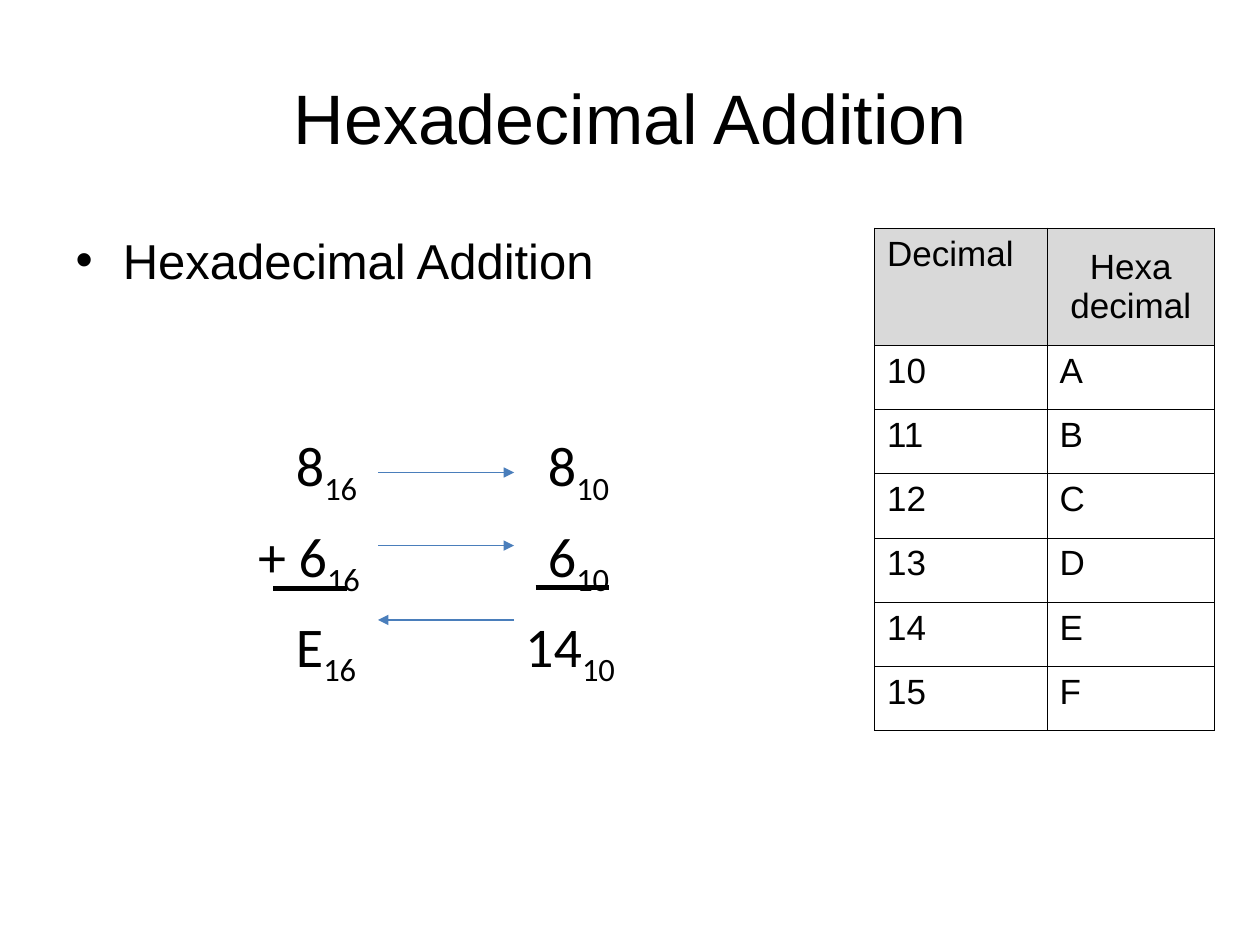
from lxml import etree
from pptx import Presentation
from pptx import util as u
from pptx.dml.color import RGBColor
from pptx.enum import shapes, text
from pptx.oxml.ns import qn

BLACK, BLUE, GREY = "000000", "4A7EBB", "D9D9D9"


def colour(value):
    """Turn a hex string into a colour."""
    return RGBColor.from_string(value)


def style(paragraph, size, name="Arial", align=None, before=0):
    """Format a whole paragraph."""
    paragraph.alignment = align
    paragraph.space_before = u.Pt(before)
    paragraph.font.size = u.Pt(size)
    paragraph.font.name = name
    paragraph.font.color.rgb = colour(BLACK)


def fill_placeholder(holder, wording, box, size, align):
    """Move a placeholder and give it one line of text."""
    holder.left, holder.top, holder.width, holder.height = map(u.Inches, box)
    holder.text_frame.text = wording
    holder.text_frame.auto_size = text.MSO_AUTO_SIZE.NONE
    style(holder.text_frame.paragraphs[0], size, align=align)


def add_tabs(paragraph, stops):
    """Set left tab stops, in inches."""
    tabs = etree.SubElement(paragraph._p.get_or_add_pPr(), qn("a:tabLst"))
    for stop in stops:
        etree.SubElement(tabs, qn("a:tab"), pos=str(u.Inches(stop)), algn="l")


def add_number(paragraph, digits, base):
    """Write a tab and a number with its base as a subscript."""
    paragraph.add_run().text = "\t" + digits
    subscript = paragraph.add_run()
    subscript.text = base
    subscript._r.get_or_add_rPr().set("baseline", "-25000")


def add_sums(slide, rows):
    """Write the hexadecimal sum beside the decimal one."""
    box = slide.shapes.add_textbox(*map(u.Inches, (0.25, 2.7, 7.75, 3.64)))
    frame = box.text_frame
    frame.word_wrap = True
    frame.margin_top = u.Inches(0.72)
    for index, (hexa, decimal, stops) in enumerate(rows):
        paragraph = frame.add_paragraph() if index else frame.paragraphs[0]
        paragraph.space_before = u.Pt(0)
        add_tabs(paragraph, stops)
        add_number(paragraph, hexa, "16")
        add_number(paragraph, decimal, "10")
        style(paragraph, 32, "Calibri", before=8 if index else 0)


def add_line(slide, start, end, y, hue, width, arrow=False):
    """Draw a level line, with an arrowhead at its end if asked."""
    line = slide.shapes.add_connector(
        shapes.MSO_CONNECTOR.STRAIGHT, *map(u.Inches, (start, y, end, y)))
    line.line.color.rgb = colour(hue)
    line.line.width = u.Pt(width)
    if arrow:
        etree.SubElement(line.line._ln, qn("a:tailEnd"), type="triangle")
    etree.SubElement(line._element.spPr, qn("a:effectLst"))


def add_borders(cell):
    """Draw thin black lines on all sides of a cell."""
    properties = cell._tc.get_or_add_tcPr()
    for side in ("a:lnL", "a:lnR", "a:lnT", "a:lnB"):
        edge = etree.SubElement(properties, qn(side), w=str(u.Pt(0.45)))
        solid = etree.SubElement(edge, qn("a:solidFill"))
        etree.SubElement(solid, qn("a:srgbClr"), val=BLACK)


def add_digit_table(slide, rows, widths, heights):
    """Add the table of hexadecimal digits."""
    frame = slide.shapes.add_table(
        len(rows), len(widths), u.Inches(6.94), u.Inches(1.81),
        u.Inches(sum(widths)), u.Inches(sum(heights)))
    table = frame.table
    table.first_row = table.horz_banding = False
    for column, width in zip(table.columns, widths):
        column.width = u.Inches(width)
    for r, (row, height) in enumerate(zip(rows, heights)):
        table.rows[r].height = u.Inches(height)
        for c, wording in enumerate(row):
            cell = table.cell(r, c)
            cell.text = wording
            add_borders(cell)
            if r == 0:
                cell.fill.solid()
                cell.fill.fore_color.rgb = colour(GREY)
            else:
                cell.fill.background()
            centred = (r, c) == (0, 1)
            if centred:
                cell.vertical_anchor = text.MSO_ANCHOR.MIDDLE
            align = text.PP_ALIGN.CENTER if centred else text.PP_ALIGN.JUSTIFY
            for paragraph in cell.text_frame.paragraphs:
                style(paragraph, 20, align=align)


def main():
    """Build the slide and save it."""
    deck = Presentation()
    deck.slide_width, deck.slide_height = u.Inches(10), u.Inches(7.5)
    slide = deck.slides.add_slide(deck.slide_layouts[1])
    title, body = slide.placeholders
    heading = "Hexadecimal Addition"
    fill_placeholder(title, heading, (0.5, 0.3, 9, 1.25), 40, text.PP_ALIGN.CENTER)
    fill_placeholder(body, heading, (0.5, 1.75, 8.92, 0.75), 28, text.PP_ALIGN.LEFT)
    body.text_frame.margin_top = u.Inches(0.08)

    add_sums(slide, [("8", "8", (2, 4)),
                     ("+ 6", "6", (1.7, 4)),
                     ("E", "14", (2, 3.82))])
    for left, y in ((2.17, 4.67), (4.25, 4.66)):
        add_line(slide, left, left + 0.58, y, BLACK, 3)
    for start, end, y in ((3, 4.08, 3.75), (3, 4.08, 4.33), (4.08, 3, 4.92)):
        add_line(slide, start, end, y, BLUE, 0.75, arrow=True)

    digits = [(str(10 + index), digit) for index, digit in enumerate("ABCDEF")]
    add_digit_table(slide, [("Decimal", "Hexa\ndecimal")] + digits,
                    (1.37, 1.33), [0.93] + [0.51] * len(digits))
    deck.save("out.pptx")


if __name__ == "__main__":
    main()
